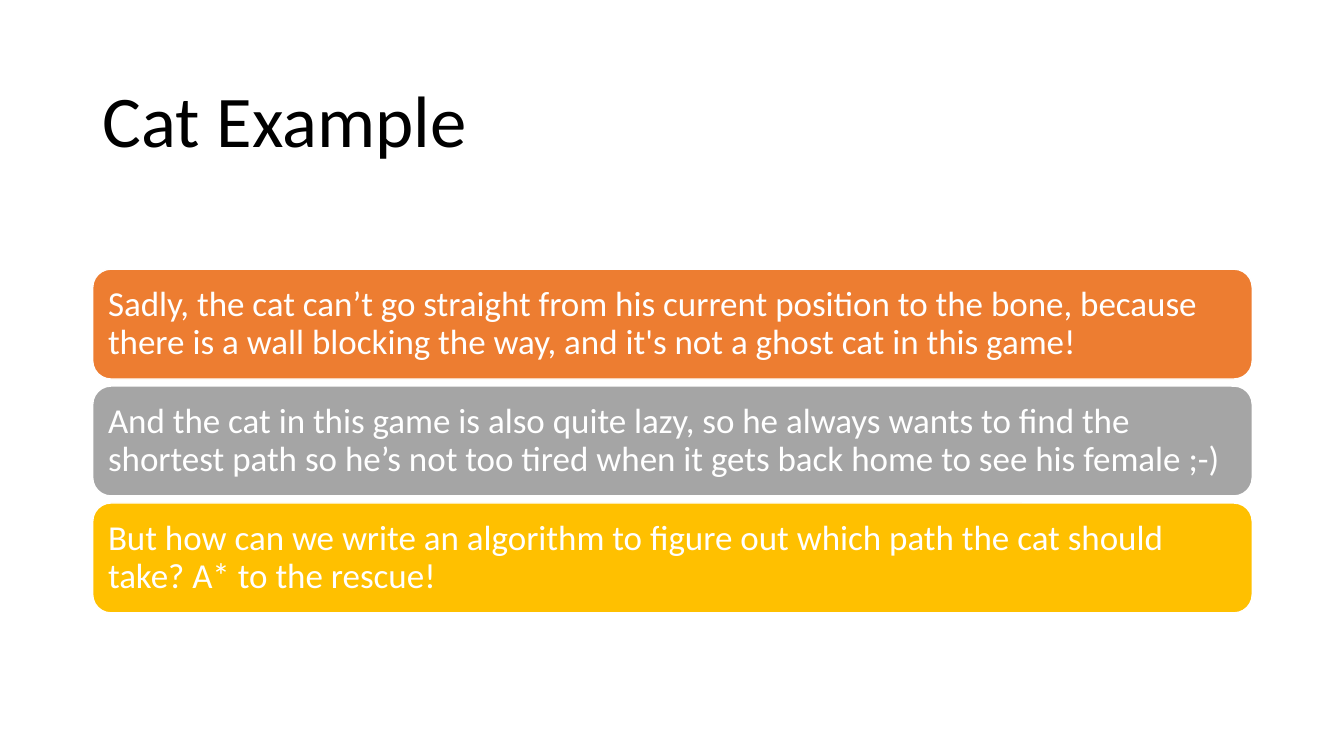
from pptx import Presentation
from pptx.dml.color import RGBColor
from pptx.enum.shapes import MSO_SHAPE
from pptx.enum.text import MSO_ANCHOR, PP_ALIGN
from pptx.util import Inches, Pt

ROUNDED = MSO_SHAPE.ROUNDED_RECTANGLE
MIDDLE = MSO_ANCHOR.MIDDLE
LEFT = PP_ALIGN.LEFT
TITLE_ONLY = 5

COLORS = {
    "black": "000000",
    "white": "FFFFFF",
    "orange": "ED7D31",
    "gray": "A5A5A5",
    "gold": "FFC000",
}

STATEMENTS = [
    ("orange", "Sadly, the cat can’t go straight from his current position to the bone, "
               "because there is a wall blocking the way, and it's not a ghost cat in this game!"),
    ("gray", "And the cat in this game is also quite lazy, so he always wants to find the "
             "shortest path so he’s not too tired when it gets back home to see his female ;-)"),
    ("gold", "But how can we write an algorithm to figure out which path the cat should "
             "take? A* to the rescue!"),
]

CONTENT_LEFT = 0.92
CONTENT_WIDTH = 11.5
CARD_TOP = 2.67
CARD_HEIGHT = 1.09
CARD_GAP = 0.07


class SlideBuilder:
    font_name = "Calibri"

    def __init__(self, presentation):
        self.slide = presentation.slides.add_slide(presentation.slide_layouts[TITLE_ONLY])

    def color(self, name):
        return RGBColor.from_string(COLORS[name])

    def set_text(self, shape, text, size, color, inset_x, inset_y):
        frame = shape.text_frame
        frame.word_wrap = True
        frame.vertical_anchor = MIDDLE
        frame.margin_left = frame.margin_right = Inches(inset_x)
        frame.margin_top = frame.margin_bottom = Inches(inset_y)
        paragraph = frame.paragraphs[0]
        paragraph.alignment = LEFT
        paragraph.line_spacing = 0.9
        run = paragraph.add_run()
        run.text = text
        run.font.name = self.font_name
        run.font.size = Pt(size)
        run.font.color.rgb = self.color(color)

    def title(self, text, left, top, width, height):
        shape = self.slide.shapes.title
        shape.left, shape.top = Inches(left), Inches(top)
        shape.width, shape.height = Inches(width), Inches(height)
        self.set_text(shape, text, 52, "black", 0.1, 0.05)

    def card(self, text, fill, left, top, width, height):
        shape = self.slide.shapes.add_shape(
            ROUNDED, Inches(left), Inches(top), Inches(width), Inches(height))
        shape.shadow.inherit = False
        shape.fill.solid()
        shape.fill.fore_color.rgb = self.color(fill)
        shape.line.color.rgb = self.color("white")
        shape.line.width = Pt(1)
        self.set_text(shape, text, 25, "white", 0.1, 0.1)


def main():
    presentation = Presentation()
    presentation.slide_width = Inches(13.33)
    presentation.slide_height = Inches(7.5)
    builder = SlideBuilder(presentation)
    builder.title("Cat Example", CONTENT_LEFT, 0.61, CONTENT_WIDTH, 1.24)
    for index, (fill, text) in enumerate(STATEMENTS):
        top = CARD_TOP + index * (CARD_HEIGHT + CARD_GAP)
        builder.card(text, fill, CONTENT_LEFT, top, CONTENT_WIDTH, CARD_HEIGHT)
    presentation.save("out.pptx")


if __name__ == "__main__":
    main()
